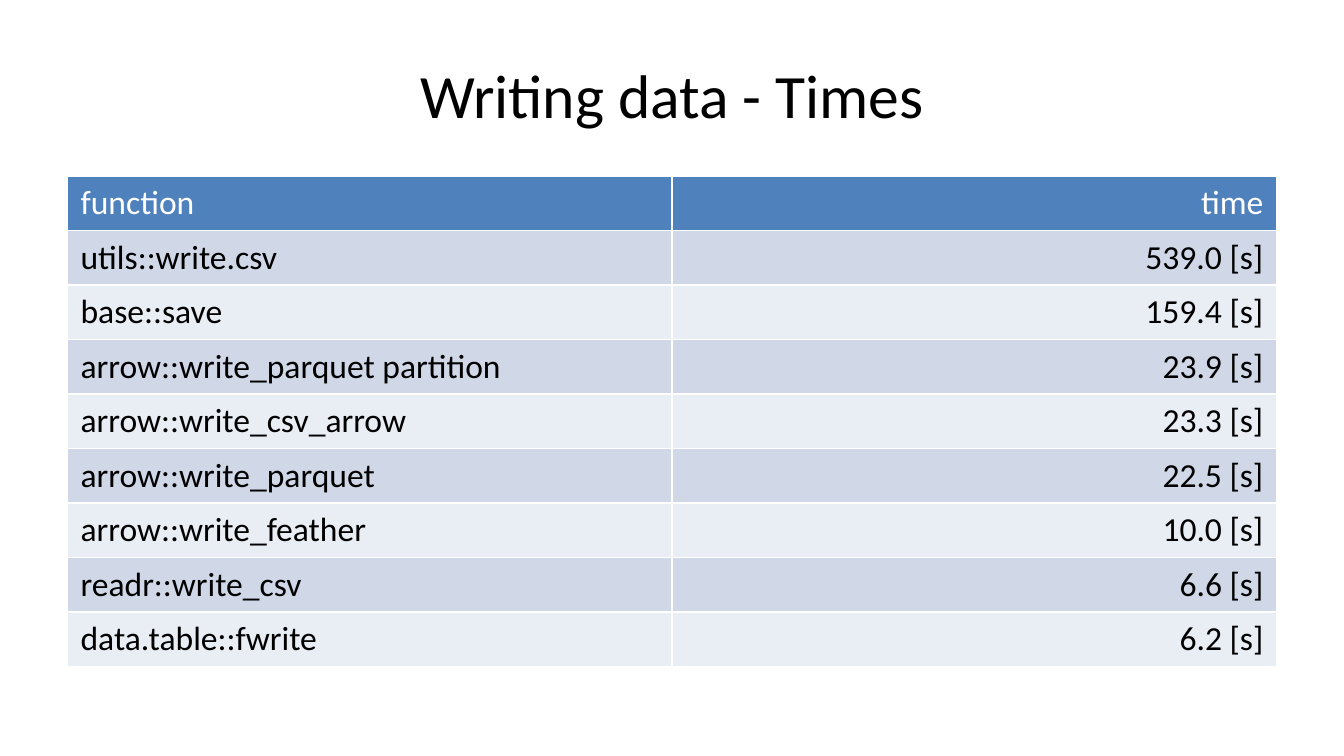
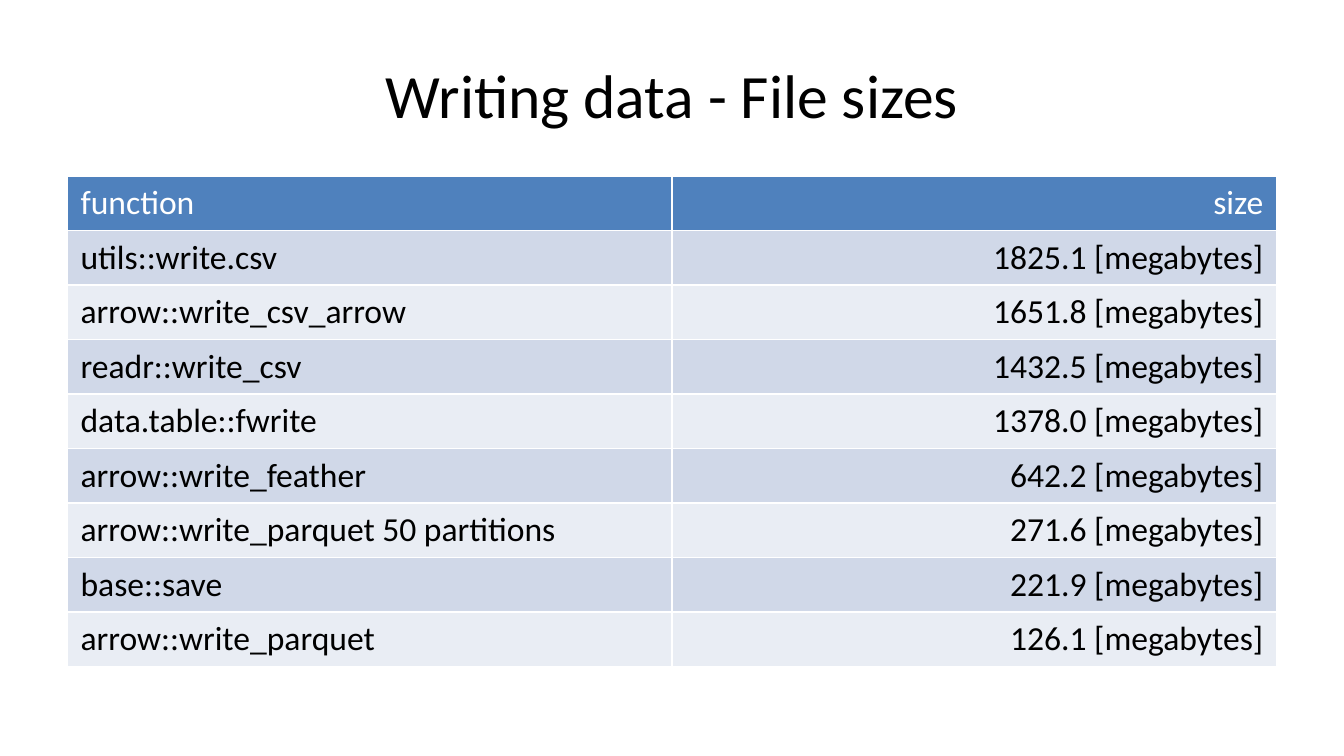
from pptx import Presentation
from pptx.dml.color import RGBColor
from pptx.enum.text import MSO_ANCHOR, PP_ALIGN
from pptx.util import Inches, Pt

LEFT, CENTER, RIGHT = PP_ALIGN.LEFT, PP_ALIGN.CENTER, PP_ALIGN.RIGHT
MIDDLE = MSO_ANCHOR.MIDDLE
FONT = "Calibri"
BLACK, WHITE = "000000", "FFFFFF"
HEADER_FILL = "4F81BD"
BAND_FILLS = ("E9EDF4", "D0D8E8")
TITLE_ONLY = 5
MARGIN, CONTENT_WIDTH = 0.5, 9
ROW_HEIGHT = 0.4


def rgb(value):
    """Turn a hex string into a colour."""
    return RGBColor.from_string(value)


def style_paragraph(paragraph, size, color, align):
    """Set the font and alignment of one paragraph."""
    paragraph.alignment = align
    paragraph.font.name = FONT
    paragraph.font.size = Pt(size)
    paragraph.font.bold = False
    paragraph.font.color.rgb = rgb(color)


# Each entry: slide title, measure, unit, results in falling order
benchmarks = [
    ("Writing data - Times", "time", "s", [
        ("utils::write.csv", 539.0),
        ("base::save", 159.4),
        ("arrow::write_parquet partition", 23.9),
        ("arrow::write_csv_arrow", 23.3),
        ("arrow::write_parquet", 22.5),
        ("arrow::write_feather", 10.0),
        ("readr::write_csv", 6.6),
        ("data.table::fwrite", 6.2),
    ]),
    ("Writing data - File sizes", "size", "megabytes", [
        ("utils::write.csv", 1825.1),
        ("arrow::write_csv_arrow", 1651.8),
        ("readr::write_csv", 1432.5),
        ("data.table::fwrite", 1378.0),
        ("arrow::write_feather", 642.2),
        ("arrow::write_parquet 50 partitions", 271.6),
        ("base::save", 221.9),
        ("arrow::write_parquet", 126.1),
    ]),
]

prs = Presentation()
prs.slide_width = Inches(10)
prs.slide_height = Inches(10 * 9 / 16)

for heading, measure, unit, results in benchmarks:
    slide = prs.slides.add_slide(prs.slide_layouts[TITLE_ONLY])
    slide.background.fill.solid()
    slide.background.fill.fore_color.rgb = rgb(WHITE)

    title = slide.shapes.title
    title.left, title.top = Inches(MARGIN), Inches(0.23)
    title.width, title.height = Inches(CONTENT_WIDTH), Inches(0.94)
    title.text_frame.text = heading
    title.text_frame.vertical_anchor = MIDDLE
    style_paragraph(title.text_frame.paragraphs[0], 33, BLACK, CENTER)

    rows = [("function", measure)]
    rows += [(name, f"{value:.1f} [{unit}]") for name, value in results]

    # The default table style supplies the white cell borders
    table = slide.shapes.add_table(
        len(rows), 2, Inches(MARGIN), Inches(1.31),
        Inches(CONTENT_WIDTH), Inches(ROW_HEIGHT * len(rows))).table
    for row_index, row in enumerate(rows):
        is_header = row_index == 0
        fill = HEADER_FILL if is_header else BAND_FILLS[row_index % 2]
        color = WHITE if is_header else BLACK
        for column_index, align in enumerate((LEFT, RIGHT)):
            cell = table.cell(row_index, column_index)
            cell.text = row[column_index]
            cell.fill.solid()
            cell.fill.fore_color.rgb = rgb(fill)
            style_paragraph(cell.text_frame.paragraphs[0], 18, color, align)

prs.save("out.pptx")
